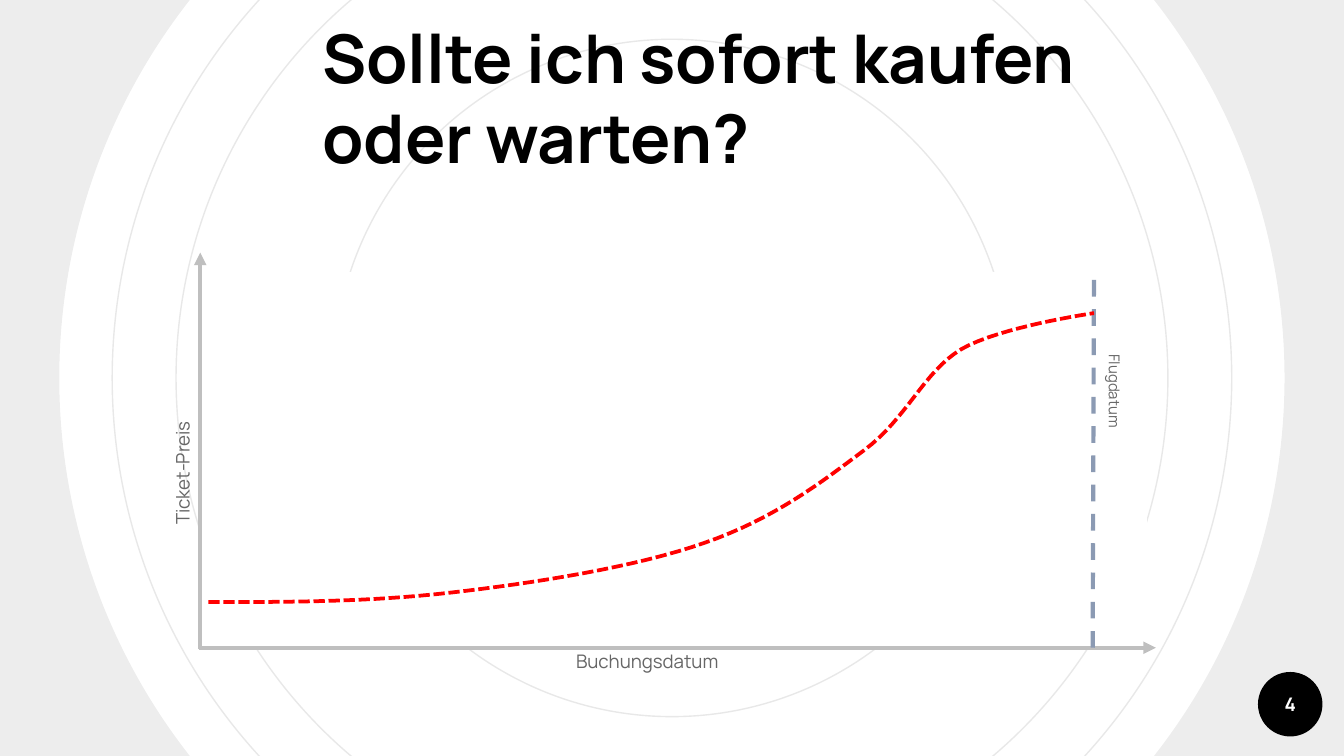
"""Build the slide on when to buy a flight ticket."""
from lxml import etree
from pptx import Presentation
from pptx.dml.color import RGBColor
from pptx.enum.dml import MSO_LINE
from pptx.enum.shapes import MSO_CONNECTOR, MSO_SHAPE
from pptx.enum.text import MSO_ANCHOR, PP_ALIGN
from pptx.oxml.ns import qn
from pptx.util import Inches, Pt

OVAL, DONUT, RECTANGLE = MSO_SHAPE.OVAL, MSO_SHAPE.DONUT, MSO_SHAPE.RECTANGLE
STRAIGHT = MSO_CONNECTOR.STRAIGHT
DASH, SQUARE_DOT = MSO_LINE.DASH, MSO_LINE.SQUARE_DOT
TOP, MIDDLE = MSO_ANCHOR.TOP, MSO_ANCHOR.MIDDLE
LEFT, CENTER = PP_ALIGN.LEFT, PP_ALIGN.CENTER

COLORS = {
    "black": "000000", "white": "FFFFFF", "ring": "E8E8E8", "label": "666666",
    "axis": "BFBFBF", "flight": "8B9AB3", "price": "FF0000",
}
FONT = "Manrope"
WIDTH = 10
HEIGHT = WIDTH * 9 / 16
CENTER_X, CENTER_Y = WIDTH / 2, HEIGHT / 2
RING_DIAMETERS = [8.33, 7.38, 5.04]
FRAME_DIAMETER, FRAME_THICKNESS, FRAME_OPACITY = 11.54, 0.105, 7
BADGE = (9.36, 5, 0.48, 0.48)
PLOT = (1.49, 2.04, 7.03, 2.78)

TITLE = ("Sollte ich sofort kaufen oder warten?", (2.3, 0.07, 6.04, 0.75))
PAGE_NUMBER = "4"
LABELS = [
    ("Ticket-Preis", 0.65, 3.43, 270, 10),
    ("Flugdatum", 7.59, 2.82, 90, 8),
    ("Buchungsdatum", 4.11, 4.83, 0, 10),
]
LABEL_SIZE = (1.41, 0.18)
AXES = [((1.49, 4.83), (1.49, 1.88)), ((1.48, 4.82), (8.6, 4.82))]
FLIGHT_DATE = ((8.13, 4.82), (8.14, 2.04))
PRICE_START = (1.55, 4.48)
PRICE_CURVES = [
    ((2.14, 4.48), (2.74, 4.48), (3.35, 4.41)),
    ((3.97, 4.34), (4.73, 4.22), (5.24, 4.04)),
    ((5.76, 3.86), (6.11, 3.59), (6.43, 3.35)),
    ((6.75, 3.11), (6.87, 2.77), (7.15, 2.6)),
    ((7.44, 2.43), (8.14, 2.33), (8.14, 2.33)),
]
CURVE_STEPS = 16


def inches(values):
    return [Inches(value) for value in values]


def color(name):
    return RGBColor.from_string(COLORS[name])


def style_line(line, name, width, dash=None):
    line.color.rgb = color(name)
    line.width = Pt(width)
    if dash is not None:
        line.dash_style = dash


def add_shape(slide, kind, box, fill=None, line=None, width=0.75):
    shape = slide.shapes.add_shape(kind, *inches(box))
    shape.shadow.inherit = False
    if fill:
        shape.fill.solid()
        shape.fill.fore_color.rgb = color(fill)
    else:
        shape.fill.background()
    if line:
        style_line(shape.line, line, width)
    else:
        shape.line.fill.background()
    return shape


def centered_box(diameter):
    return CENTER_X - diameter / 2, CENTER_Y - diameter / 2, diameter, diameter


def add_text(slide, text, box, size, name, bold=False, align=CENTER,
             anchor=MIDDLE, margins=(0, 0), rotation=0):
    shape = slide.shapes.add_textbox(*inches(box))
    shape.rotation = rotation
    frame = shape.text_frame
    side, end = inches(margins)
    frame_format = {
        "word_wrap": True, "vertical_anchor": anchor, "margin_left": side,
        "margin_right": side, "margin_top": end, "margin_bottom": end,
    }
    for attribute, value in frame_format.items():
        setattr(frame, attribute, value)
    paragraph = frame.paragraphs[0]
    paragraph.alignment = align
    run = paragraph.add_run()
    run.text = text
    for attribute, value in {"name": FONT, "size": Pt(size), "bold": bold}.items():
        setattr(run.font, attribute, value)
    run.font.color.rgb = color(name)


def add_line(slide, start, end, name, dash=None, arrow=False):
    connector = slide.shapes.add_connector(STRAIGHT, *inches(start + end))
    style_line(connector.line, name, 2.25, dash)
    properties = connector._element.spPr
    if arrow:
        etree.SubElement(properties.find(qn("a:ln")), qn("a:tailEnd"), type="triangle")
    etree.SubElement(properties, qn("a:effectLst"))


def bezier_point(corners, t):
    weights = ((1 - t) ** 3, 3 * t * (1 - t) ** 2, 3 * t ** 2 * (1 - t), t ** 3)
    return tuple(sum(w * value for w, value in zip(weights, axis)) for axis in zip(*corners))


def add_price_curve(slide):
    points, start = [], PRICE_START
    for curve in PRICE_CURVES:
        corners = (start, *curve)
        points += [bezier_point(corners, step / CURVE_STEPS)
                   for step in range(1, CURVE_STEPS + 1)]
        start = curve[-1]
    builder = slide.shapes.build_freeform(*inches(PRICE_START))
    builder.add_line_segments([inches(point) for point in points], close=False)
    shape = builder.convert_to_shape()
    shape.shadow.inherit = False
    shape.fill.background()
    style_line(shape.line, "price", 2, SQUARE_DOT)


def add_background(slide):
    slide.background.fill.solid()
    slide.background.fill.fore_color.rgb = color("white")
    for diameter in RING_DIAMETERS:
        add_shape(slide, OVAL, centered_box(diameter), line="ring")
    frame = add_shape(slide, DONUT, centered_box(FRAME_DIAMETER), fill="black")
    frame.adjustments[0] = FRAME_THICKNESS
    fill_color = frame._element.spPr.find(qn("a:solidFill"))[0]
    etree.SubElement(fill_color, qn("a:alpha"), val=str(FRAME_OPACITY * 1000))
    add_shape(slide, OVAL, BADGE, fill="black")


def main():
    presentation = Presentation()
    presentation.slide_width, presentation.slide_height = inches((WIDTH, HEIGHT))
    slide = presentation.slides.add_slide(presentation.slide_layouts[6])
    add_background(slide)
    add_shape(slide, RECTANGLE, PLOT, fill="white", line="white", width=2)
    add_text(slide, PAGE_NUMBER, BADGE, 10, "white", bold=True, margins=(0.1, 0.1))
    for text, left, top, rotation, size in LABELS:
        add_text(slide, text, (left, top, *LABEL_SIZE), size, "label", rotation=rotation)
    for start, end in AXES:
        add_line(slide, start, end, "axis", arrow=True)
    add_line(slide, *FLIGHT_DATE, "flight", dash=DASH)
    add_price_curve(slide)
    text, box = TITLE
    add_text(slide, text, box, 36, "black", bold=True, align=LEFT,
             anchor=TOP, margins=(0.1, 0.05))
    presentation.save("out.pptx")


if __name__ == "__main__":
    main()
